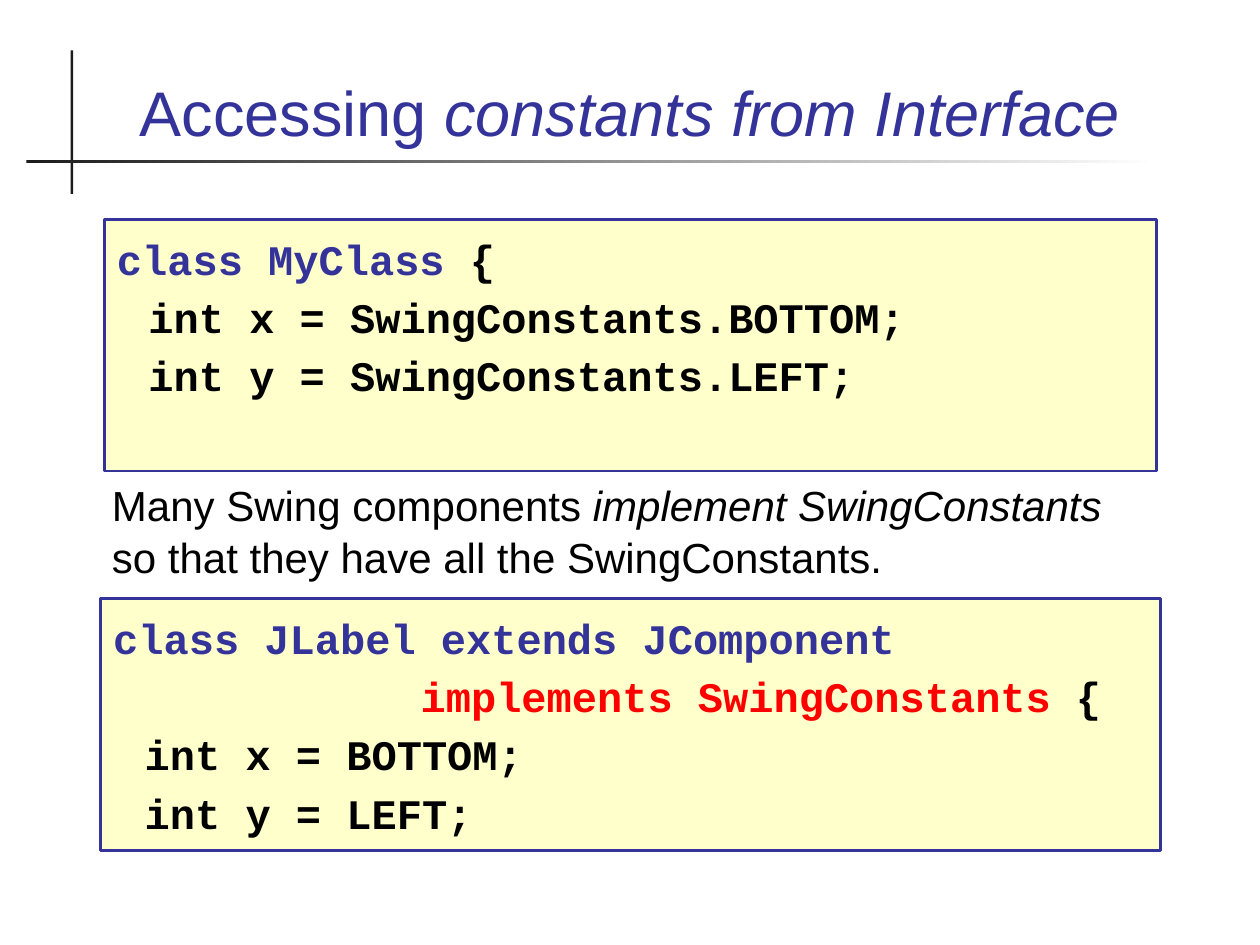
from typing import NamedTuple

from pptx import Presentation
from pptx.dml.color import RGBColor
from pptx.enum.shapes import MSO_SHAPE
from pptx.enum.text import MSO_ANCHOR, MSO_AUTO_SIZE, PP_ALIGN
from pptx.util import Inches, Pt

INDIGO = RGBColor(0x33, 0x33, 0x99)
CREAM = RGBColor(0xFF, 0xFF, 0xCC)
CHARCOAL = RGBColor(0x1C, 0x1C, 0x1C)
WHITE = RGBColor(0xFF, 0xFF, 0xFF)
BLACK = RGBColor(0x00, 0x00, 0x00)
RED = RGBColor(0xFF, 0x00, 0x00)

# The slide is a grid of 40 columns and 30 rows
CELL = Inches(0.25)
COLUMNS, ROWS = 40, 30


class Area(NamedTuple):
    column: float
    row: float
    columns: float
    rows: float


class Span(NamedTuple):
    text: str
    color: RGBColor = BLACK
    italic: bool = False


class CodeLine(NamedTuple):
    spans: list[Span]
    indent: float = 0  # in columns


class Listing(NamedTuple):
    area: Area
    lines: list[CodeLine]


LISTINGS = [
    Listing(Area(3.32, 6.96, 33.4, 8), [
        CodeLine([Span("class MyClass", INDIGO), Span(" {")]),
        CodeLine([Span("int x = SwingConstants.BOTTOM;")], 1),
        CodeLine([Span("int y = SwingConstants.LEFT;")], 1),
    ]),
    Listing(Area(3.2, 19, 33.64, 8), [
        CodeLine([Span("class JLabel extends JComponent", INDIGO)]),
        CodeLine([Span("implements SwingConstants", RED), Span(" {")], 9.76),
        CodeLine([Span("int x = BOTTOM;")], 1),
        CodeLine([Span("int y = LEFT;")], 1),
    ]),
]


def measure(area: Area) -> list[int]:
    return [round(length * CELL) for length in area]


def write(para, spans: list[Span], font_name: str, size: int) -> None:
    para.font.name = font_name
    para.font.size = Pt(size)
    for span in spans:
        run = para.add_run()
        run.text = span.text
        run.font.color.rgb = span.color
        if span.italic:
            run.font.italic = True


def add_panel(page, area: Area):
    panel = page.shapes.add_shape(MSO_SHAPE.RECTANGLE, *measure(area))
    panel.shadow.inherit = False
    panel.line.fill.background()
    return panel


def add_listing(page, listing: Listing) -> None:
    box = add_panel(page, listing.area)
    box.fill.solid()
    box.fill.fore_color.rgb = CREAM
    box.line.color.rgb = INDIGO
    box.line.width = Pt(1.5)
    frame = box.text_frame
    frame.word_wrap = True
    frame.vertical_anchor = MSO_ANCHOR.TOP
    frame.margin_top = Inches(0.11)
    for index, line in enumerate(listing.lines):
        para = frame.add_paragraph() if index else frame.paragraphs[0]
        para.alignment = PP_ALIGN.LEFT
        para.space_before = Pt(4.5 if index else 0)
        properties = para._p.get_or_add_pPr()
        properties.set("marL", str(round(line.indent * CELL)))
        para.font.bold = True
        write(para, line.spans, "Courier New", 24)


def add_rules(page) -> None:
    upright = add_panel(page, Area(2.24, 1.6, 0.08, 4.56))
    upright.fill.solid()
    upright.fill.fore_color.rgb = CHARCOAL
    fading = add_panel(page, Area(0.84, 5.08, 35.92, 0.08))
    fading.fill.gradient()
    fading.fill.gradient_angle = 0
    for stop, color in zip(fading.fill.gradient_stops, (CHARCOAL, WHITE)):
        stop.color.rgb = color


def set_title(page) -> None:
    title = page.shapes.title
    title.left, title.top, title.width, title.height = measure(
        Area(2.68, 1.12, 34.64, 3.8))
    frame = title.text_frame
    frame.auto_size = MSO_AUTO_SIZE.NONE
    frame.vertical_anchor = MSO_ANCHOR.BOTTOM
    para = frame.paragraphs[0]
    para.alignment = PP_ALIGN.CENTER
    write(para, [Span("Accessing", INDIGO),
                 Span(" constants from Interface", INDIGO, True)], "Arial", 36)


def add_remark(page) -> None:
    box = page.shapes.add_textbox(*measure(Area(3.16, 14.96, 33.68, 3.6)))
    box.text_frame.word_wrap = True
    para = box.text_frame.paragraphs[0]
    para.line_spacing = 1.04
    write(para, [Span("Many Swing components "),
                 Span("implement SwingConstants", italic=True),
                 Span(" so that they have all the SwingConstants.")],
          "Arial", 24)


def main() -> None:
    deck = Presentation()
    deck.slide_width, deck.slide_height = COLUMNS * CELL, ROWS * CELL
    page = deck.slides.add_slide(deck.slide_layouts[5])  # title only
    # Heading with its crossed rules
    add_rules(page)
    set_title(page)
    # Code listings and the remark between them
    for listing in LISTINGS:
        add_listing(page, listing)
    add_remark(page)
    deck.save("out.pptx")


if __name__ == "__main__":
    main()
